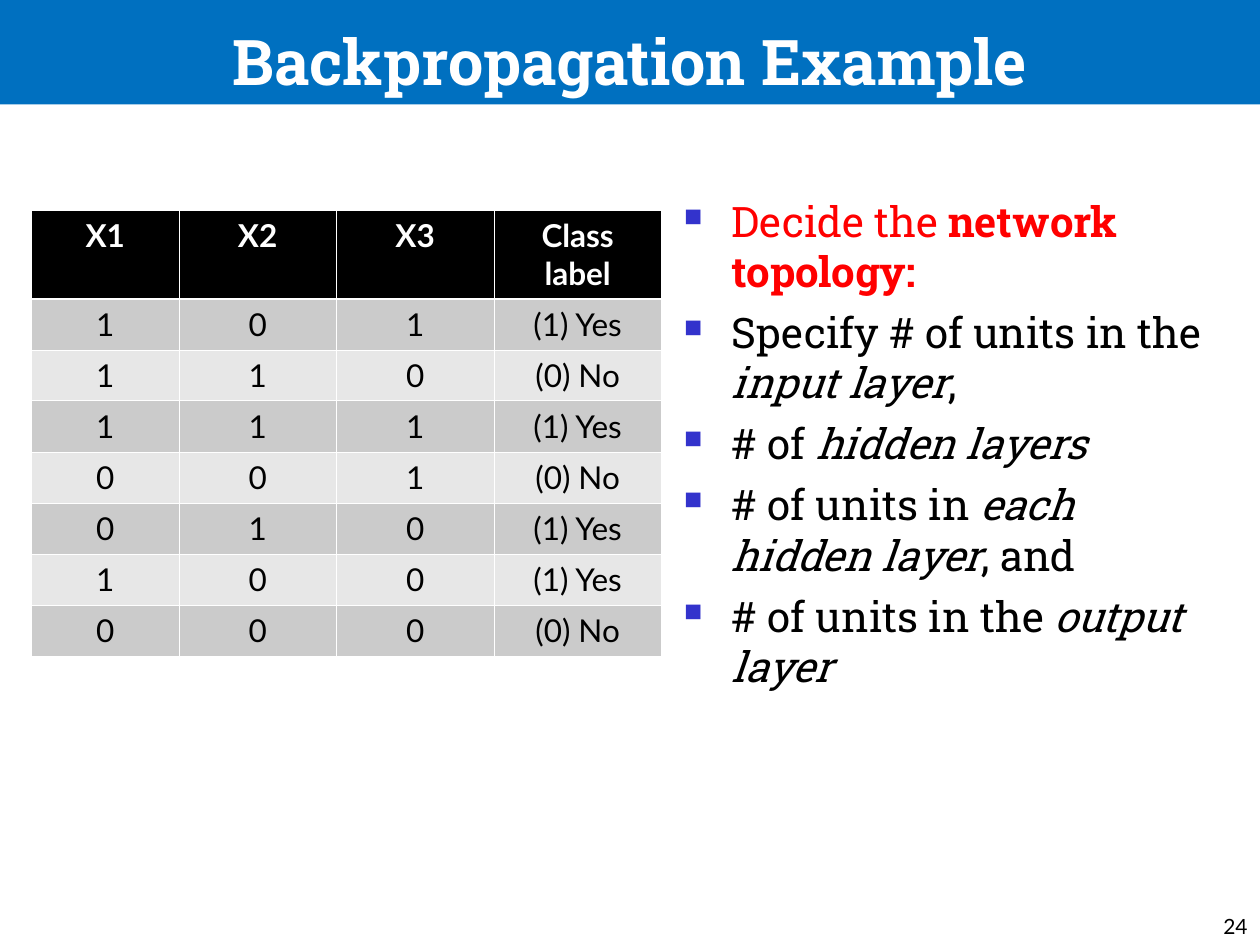
from lxml import etree
from pptx import Presentation
from pptx.dml.color import RGBColor
from pptx.enum.shapes import MSO_SHAPE
from pptx.enum.text import MSO_ANCHOR, PP_ALIGN
from pptx.oxml.ns import qn
from pptx.util import Inches, Pt

RECT = MSO_SHAPE.RECTANGLE
BOTTOM = MSO_ANCHOR.BOTTOM
CENTER, RIGHT = PP_ALIGN.CENTER, PP_ALIGN.RIGHT
SLAB, LATO = "Roboto Slab", "Lato"
BLACK, WHITE, RED = "000000", "FFFFFF", "FF0000"

COLS = [1.17, 1.25, 1.25, 1.33]
ROWS = [
    ["X1", "X2", "X3", "Class label"],
    ["1", "0", "1", "(1) Yes"],
    ["1", "1", "0", "(0) No"],
    ["1", "1", "1", "(1) Yes"],
    ["0", "0", "1", "(0) No"],
    ["0", "1", "0", "(1) Yes"],
    ["1", "0", "0", "(1) Yes"],
    ["0", "0", "0", "(0) No"],
]
POINTS = [
    (RED, [("Decide the ", ""), ("network topology:", "b")]),
    (BLACK, [("Specify # of units in the ", ""), ("input layer", "i"), (",", "")]),
    (BLACK, [("# of ", ""), ("hidden layers", "i")]),
    (BLACK, [("# of units in ", ""), ("each hidden layer", "i"), (", and", "")]),
    (BLACK, [("# of units in the ", ""), ("output layer", "i")]),
]


def color(code):
    return RGBColor.from_string(code)


def paint(item, code):
    item.fill.solid()
    item.fill.fore_color.rgb = color(code)


def style(para, name, size, code, bold=None, align=None):
    font = para.font
    font.name, font.size, font.bold = name, Pt(size), bold
    font.color.rgb = color(code)
    para.alignment = align


def add_box(slide, left, top, width, height):
    box = slide.shapes.add_textbox(
        Inches(left), Inches(top), Inches(width), Inches(height))
    box.text_frame.word_wrap = True
    return box.text_frame


def add_title(slide, text):
    bar = slide.shapes.add_shape(RECT, 0, 0, Inches(10), Inches(0.83))
    bar.shadow.inherit = False
    paint(bar, "0070C0")
    bar.line.fill.background()
    frame = bar.text_frame
    frame.vertical_anchor = BOTTOM
    frame.text = text
    style(frame.paragraphs[0], SLAB, 36, WHITE, True, CENTER)


def add_bullet(para):
    props = para._p.get_or_add_pPr()
    props.set("marL", str(Inches(0.38)))
    props.set("indent", str(-Inches(0.38)))
    tint = etree.SubElement(props, qn("a:buClr"))
    etree.SubElement(tint, qn("a:srgbClr"), val="3333CC")
    etree.SubElement(props, qn("a:buSzPct"), val="60000")
    etree.SubElement(props, qn("a:buChar"), char="■")


def add_points(slide):
    frame = add_box(slide, 5.33, 1.5, 4.42, 5.67)
    for i, (code, runs) in enumerate(POINTS):
        para = frame.add_paragraph() if i else frame.paragraphs[0]
        add_bullet(para)
        para.space_before = Pt(6 if i else 0)
        style(para, SLAB, 24, code)
        for text, mark in runs:
            run = para.add_run()
            run.text = text
            run.font.bold = mark == "b"
            run.font.italic = mark == "i"


def add_edge(cell, side, width):
    props = cell._tc.get_or_add_tcPr()
    edge = etree.SubElement(props, qn("a:ln" + side), w=str(Pt(width)))
    fill = etree.SubElement(edge, qn("a:solidFill"))
    etree.SubElement(fill, qn("a:srgbClr"), val=WHITE)


def fill_cell(cell, text, row):
    head = row == 0
    thick = {0: "B", 1: "T"}.get(row)
    for side in "LRTB":
        add_edge(cell, side, 1.47 if side == thick else 0.45)
    paint(cell, BLACK if head else "CBCBCB" if row % 2 else "E7E7E7")
    cell.text = text
    style(cell.text_frame.paragraphs[0], LATO, 18,
          WHITE if head else BLACK, head, CENTER)


def add_grid(slide):
    table = slide.shapes.add_table(
        len(ROWS), len(COLS),
        Inches(0.25), Inches(1.67), Inches(5), Inches(3.54)).table
    for col, width in zip(table.columns, COLS):
        col.width = Inches(width)
    for i, texts in enumerate(ROWS):
        table.rows[i].height = Inches(0.7 if i == 0 else 0.41 if i % 2 else 0.4)
        for j, text in enumerate(texts):
            fill_cell(table.cell(i, j), text, i)


def add_number(slide, text):
    frame = add_box(slide, 7.92, 7.08, 2.08, 0.42)
    frame.vertical_anchor = BOTTOM
    frame.text = text
    style(frame.paragraphs[0], LATO, 12, BLACK, align=RIGHT)


def main():
    deck = Presentation()
    deck.slide_width, deck.slide_height = Inches(10), Inches(7.5)
    slide = deck.slides.add_slide(deck.slide_layouts[6])
    add_number(slide, "24")
    add_title(slide, "Backpropagation Example")
    add_points(slide)
    add_grid(slide)
    deck.save("out.pptx")


if __name__ == "__main__":
    main()
